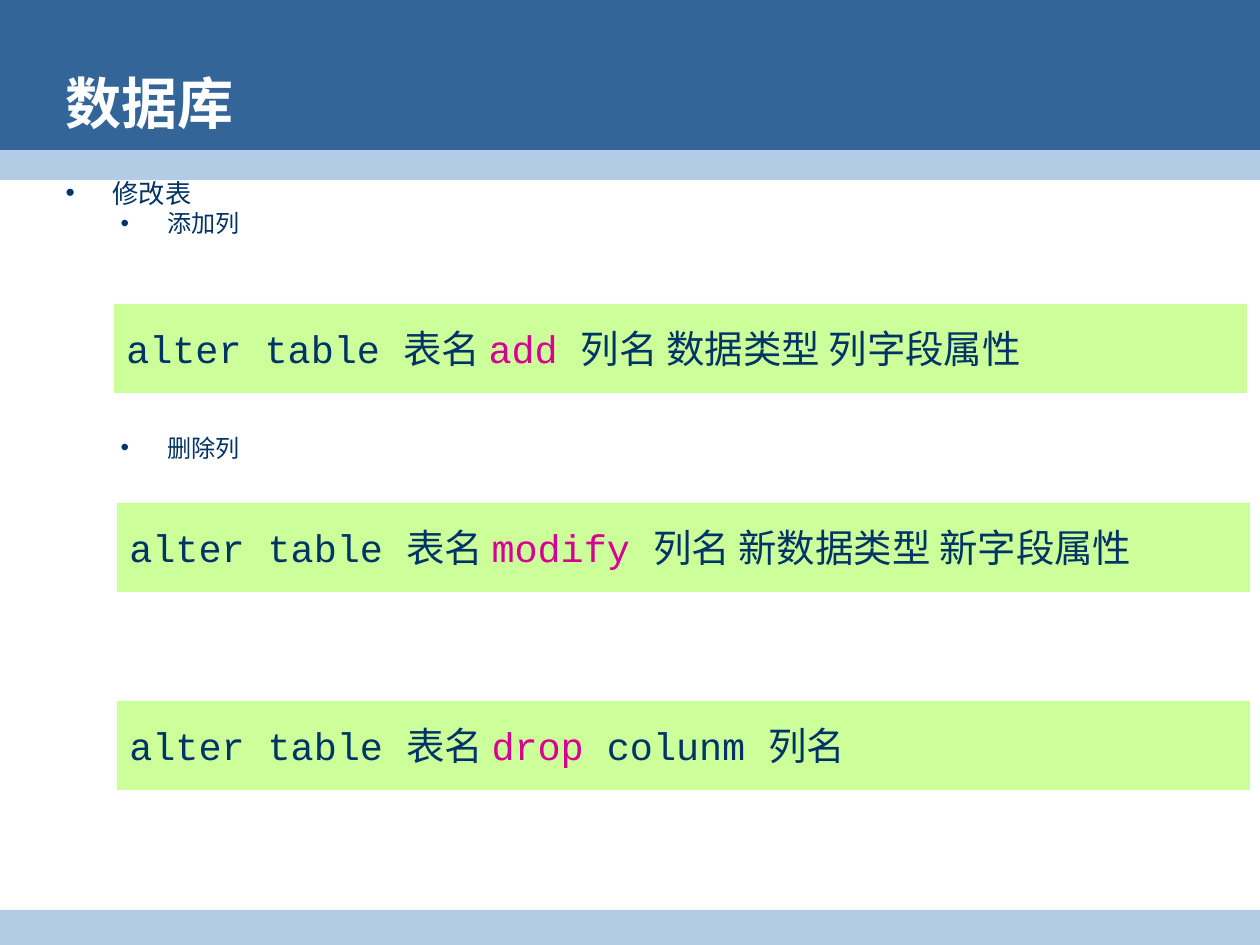
from typing import NamedTuple

from lxml import etree
from pptx import Presentation
from pptx import util as u
from pptx.dml.color import RGBColor
from pptx.enum import shapes, text
from pptx.oxml.ns import qn

PX = 914400 / 126
NAVY, PINK, WHITE = "003366", "D60093", "FFFFFF"
BLUE, PALE_BLUE, LIME = "336599", "B3CCE6", "CCFF99"


class Box(NamedTuple):
    left: int
    top: int
    width: int
    height: int


class Band(NamedTuple):
    box: Box
    fill: str


class Statement(NamedTuple):
    left: int
    top: int
    keyword: str
    rest: str


class Item(NamedTuple):
    words: str
    level: int
    size: float
    margin: int
    space_before: float


BANDS = [
    Band(Box(0, 0, 1260, 165), BLUE),
    Band(Box(0, 150, 1260, 30), PALE_BLUE),
    Band(Box(0, 910, 1260, 35), PALE_BLUE),
]
ITEMS = [
    Item("修改表", 0, 15, 47, 0),
    Item("添加列", 1, 13.8, 102, 3.5),
    Item("删除列", 1, 13.8, 102, 115),
]
STATEMENTS = [
    Statement(114, 304, "add ", "列名 数据类型 列字段属性"),
    Statement(117, 503, "modify ", "列名 新数据类型 新字段属性"),
    Statement(117, 701, "drop", " colunm 列名"),
]
HANGING = 47


def px(length: int) -> int:
    return round(length * PX)


def rgb(value: str) -> RGBColor:
    return RGBColor.from_string(value)


def place(shape, box: Box) -> None:
    shape.left, shape.top, shape.width, shape.height = map(px, box)


def style(font, name: str, size: float, color: str) -> None:
    font.name = name
    font.size = u.Pt(size)
    font.color.rgb = rgb(color)


def add_rectangle(slide, box: Box, fill: str):
    rectangle = slide.shapes.add_shape(shapes.MSO_SHAPE.RECTANGLE, *map(px, box))
    rectangle.shadow.inherit = False
    rectangle.fill.solid()
    rectangle.fill.fore_color.rgb = rgb(fill)
    rectangle.line.fill.background()
    return rectangle


def add_bands(slide) -> None:
    """Draw the bands behind the placeholders."""
    tree = slide.shapes[0]._element.getparent()
    for position, band in enumerate(BANDS, start=2):
        tree.insert(position, add_rectangle(slide, *band)._element)


def write_title(title) -> None:
    place(title, Box(53, 66, 1142, 73))
    frame = title.text_frame
    frame.auto_size = text.MSO_AUTO_SIZE.NONE
    frame.vertical_anchor = text.MSO_ANCHOR.MIDDLE
    heading = frame.paragraphs[0]
    heading.text = "数据库"
    heading.alignment = text.PP_ALIGN.LEFT
    style(heading.font, "Arial", 32, WHITE)
    heading.font.bold = True


def write_outline(body) -> None:
    place(body, Box(53, 180, 1194, 730))
    frame = body.text_frame
    frame.auto_size = text.MSO_AUTO_SIZE.NONE
    frame.margin_top = px(3)
    for index, item in enumerate(ITEMS):
        paragraph = frame.add_paragraph() if index else frame.paragraphs[0]
        paragraph.text = item.words
        paragraph.level = item.level
        paragraph.line_spacing = 0.8
        paragraph.space_before = u.Pt(item.space_before)
        properties = paragraph._p.get_or_add_pPr()
        properties.set("marL", str(px(item.margin)))
        properties.set("indent", str(-px(HANGING)))
        etree.SubElement(properties, qn("a:buChar")).set("char", "•")
        style(paragraph.font, "Noto Sans CJK SC", item.size, NAVY)


def add_statement(slide, statement: Statement) -> None:
    bar = add_rectangle(slide, Box(statement.left, statement.top, 1133, 89), LIME)
    frame = bar.text_frame
    frame.word_wrap = True
    frame.vertical_anchor = text.MSO_ANCHOR.MIDDLE
    code = frame.paragraphs[0]
    code.alignment = text.PP_ALIGN.LEFT
    parts = [
        ("alter table 表名 ", NAVY),
        (statement.keyword, PINK),
        (statement.rest, NAVY),
    ]
    for words, color in parts:
        run = code.add_run()
        run.text = words
        style(run.font, "Courier New", 22, color)


def main() -> None:
    deck = Presentation()
    deck.slide_width, deck.slide_height = px(1260), px(945)
    slide = deck.slides.add_slide(deck.slide_layouts[1])
    write_title(slide.shapes.title)
    write_outline(slide.placeholders[1])
    add_bands(slide)
    for statement in STATEMENTS:
        add_statement(slide, statement)
    deck.save("out.pptx")


if __name__ == "__main__":
    main()
